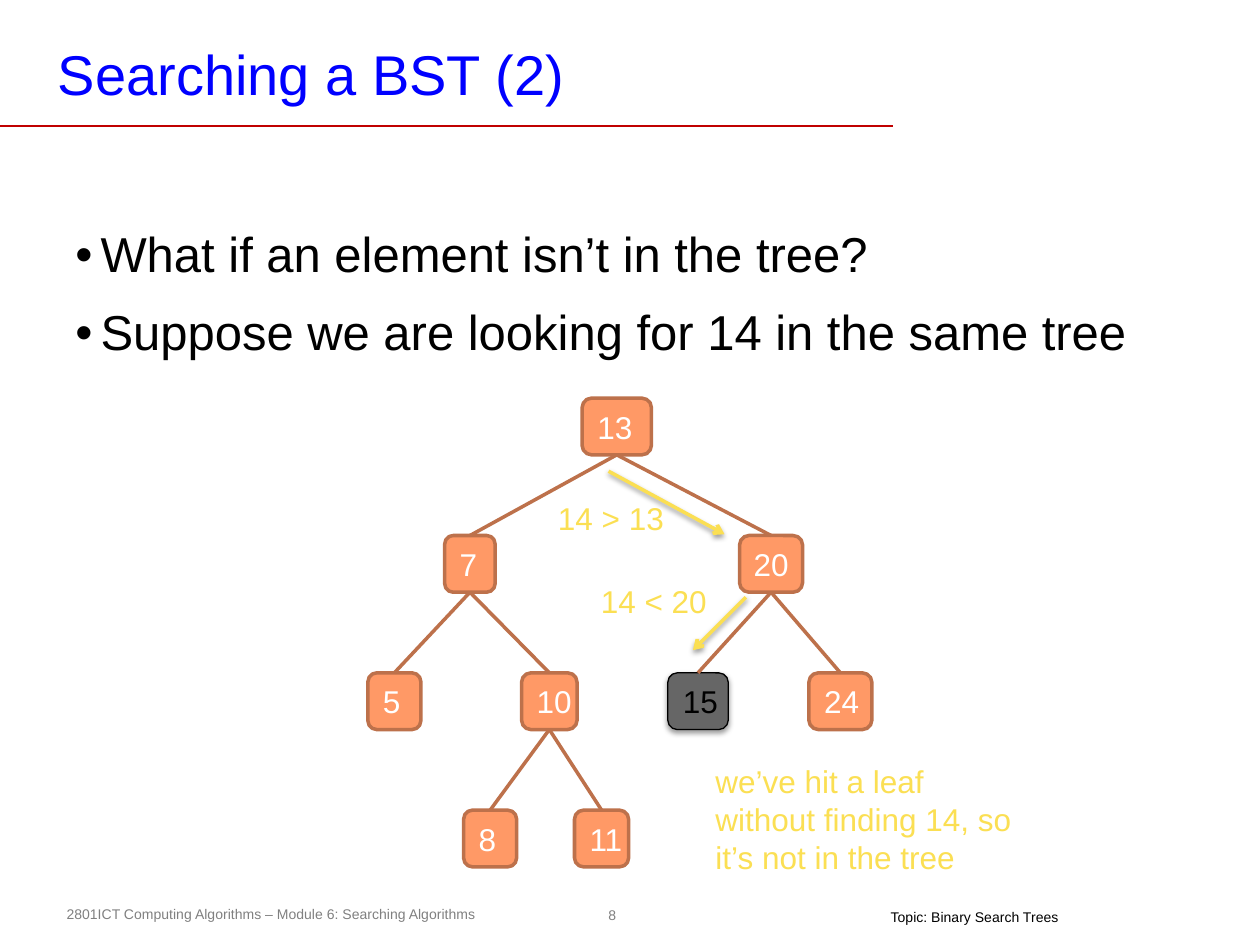
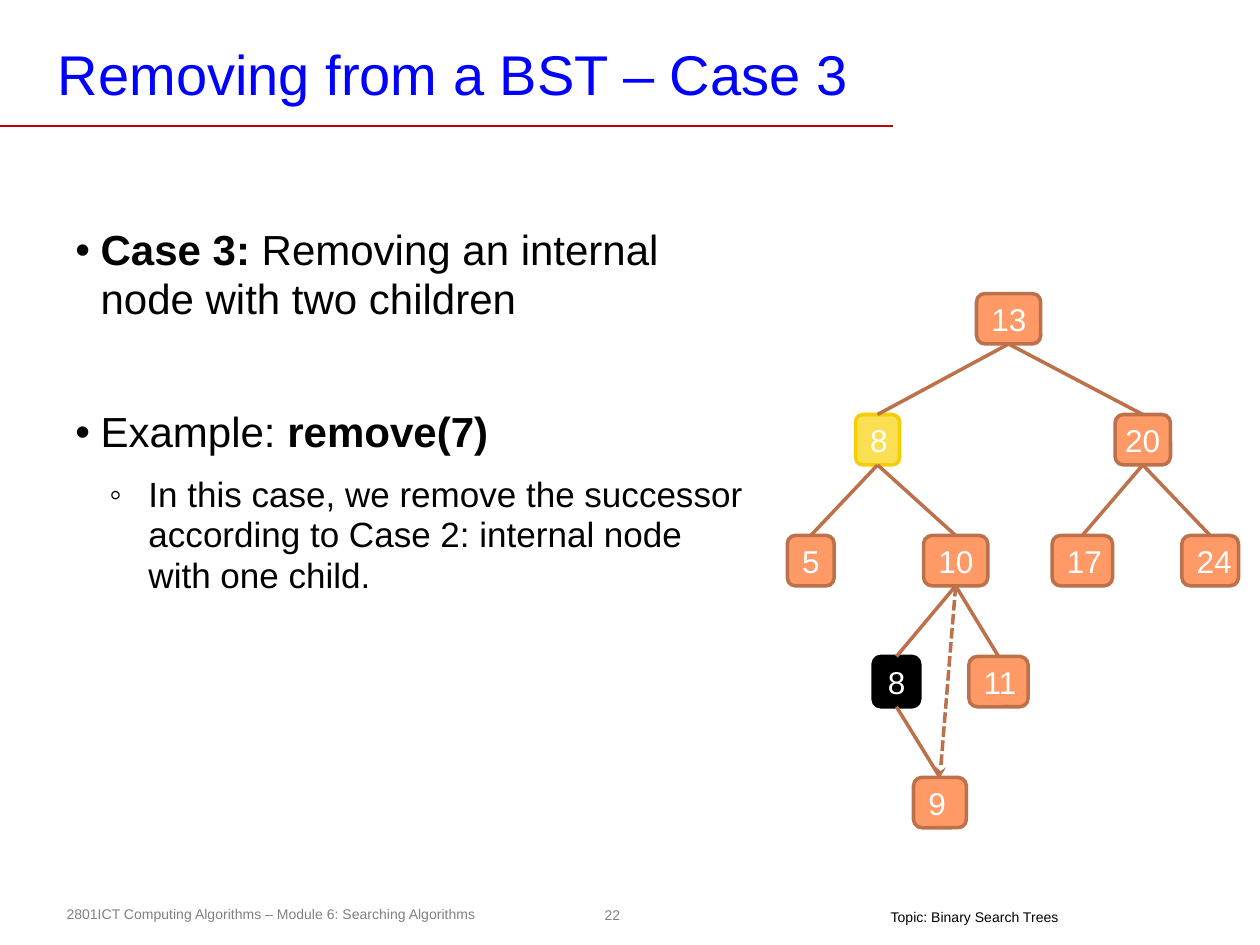
from lxml.etree import SubElement
from pptx import Presentation
from pptx.dml.color import RGBColor
from pptx.enum.dml import MSO_LINE
from pptx.enum.shapes import MSO_CONNECTOR, MSO_SHAPE
from pptx.enum.text import MSO_ANCHOR, MSO_AUTO_SIZE, PP_ALIGN
from pptx.oxml.ns import qn
from pptx.util import Inches, Pt

FONT = "Arial"
BLUE, RED, GREY = "0000FF", "C00000", "808080"
BLACK, WHITE, DARK = "000000", "FFFFFF", "666666"
ORANGE, BROWN = "FF9966", "BD714B"
YELLOW, GOLD = "FBDF53", "F5CD06"
PAD = (0.1, 0.05, 0.1, 0.05)
NODE = (ORANGE, BROWN, 2, WHITE)
FOUND = (DARK, BLACK, 0.75, BLACK)
MOVED = (YELLOW, GOLD, 2, WHITE)
GONE = (BLACK, BLACK, 2, WHITE)


def color(code):
    return RGBColor.from_string(code)


def style(para, size, code, align=PP_ALIGN.LEFT):
    para.alignment = align
    para.font.name = FONT
    para.font.size = Pt(size)
    para.font.color.rgb = color(code)


def setup(frame, pad=PAD, wrap=True, anchor=MSO_ANCHOR.TOP):
    frame.auto_size = MSO_AUTO_SIZE.NONE
    frame.word_wrap = wrap
    frame.vertical_anchor = anchor
    frame.margin_left, frame.margin_top, frame.margin_right, frame.margin_bottom = map(Inches, pad)


def label(slide, box, text, size, code, align=PP_ALIGN.LEFT, **opts):
    frame = slide.shapes.add_textbox(*map(Inches, box)).text_frame
    setup(frame, **opts)
    frame.text = text
    style(frame.paragraphs[0], size, code, align)


def shade(shape):
    props = shape._element.spPr
    effect = props.find(qn("a:effectLst"))
    if effect is None:
        effect = SubElement(props, qn("a:effectLst"))
    glow = SubElement(effect, qn("a:outerShdw"), blurRad=str(Pt(3.1)), dist=str(Pt(1.6)),
                      dir="5400000", rotWithShape="0")
    tint = SubElement(glow, qn("a:srgbClr"), val=BLACK)
    SubElement(tint, qn("a:alpha"), val="38000")


def rule(slide, start, end, code, width, head=None, dash=None):
    line = slide.shapes.add_connector(MSO_CONNECTOR.STRAIGHT, *map(Inches, start + end))
    line.line.color.rgb = color(code)
    line.line.width = Pt(width)
    if dash:
        line.line.dash_style = dash
    if head:
        SubElement(line.line._get_or_add_ln(), qn("a:tailEnd"), type=head)
    SubElement(line._element.spPr, qn("a:effectLst"))
    return line


def join(slide, upper, lower, **opts):
    line = rule(slide, (0, 0), (1, 1), BROWN, 2, **opts)
    line.begin_connect(upper, 2)
    line.end_connect(lower, 0)


def node(slide, box, text, look):
    fill, edge, width, ink = look
    shape = slide.shapes.add_shape(MSO_SHAPE.ROUNDED_RECTANGLE, *map(Inches, box))
    shape.shadow.inherit = False
    shape.fill.solid()
    shape.fill.fore_color.rgb = color(fill)
    shape.line.color.rgb = color(edge)
    shape.line.width = Pt(width)
    frame = shape.text_frame
    setup(frame, wrap=False, anchor=MSO_ANCHOR.MIDDLE)
    frame.text = text
    style(frame.paragraphs[0], 18, ink, PP_ALIGN.CENTER if text == "20" else PP_ALIGN.LEFT)
    if look == FOUND:
        shade(shape)
    return shape


def tree(slide, left, top, step, height, nodes):
    made = []
    for text, parent, level, shift, width, look in nodes:
        box = (left + shift, top + level * step, width, height)
        made.append(node(slide, box, text, look))
        if parent is not None:
            join(slide, made[parent], made[-1])
    return made


def body(slide, box, items):
    frame = slide.shapes.add_textbox(*map(Inches, box)).text_frame
    setup(frame)
    for spot, (parts, size, mark, margin, hang, gap) in enumerate(items):
        para = frame.add_paragraph() if spot else frame.paragraphs[0]
        props = para._p.get_or_add_pPr()
        props.set("marL", str(Inches(margin)))
        props.set("indent", str(-Inches(hang)))
        SubElement(props, qn("a:buFont"), typeface=FONT)
        SubElement(props, qn("a:buChar"), char=mark)
        para.line_spacing = 0.97
        para.space_before = Pt(gap)
        for text, bold in parts:
            run = para.add_run()
            run.text = text
            if bold:
                run.font.bold = True
        style(para, size, BLACK)


def bullet(parts, size, gap=0):
    return parts, size, "•", 0.2, 0.2, gap


def page(deck, title, number):
    slide = deck.slides.add_slide(deck.slide_layouts[5])
    label(slide, (4.74, 7.13, 0.24, 0.26), number, 8, GREY, PP_ALIGN.CENTER,
          pad=(0.04,) * 4, wrap=False, anchor=MSO_ANCHOR.MIDDLE)
    label(slide, (0.43, 7.14, 3.64, 0.24),
          "2801ICT Computing Algorithms – Module 6: Searching Algorithms", 8, GREY)
    label(slide, (6.97, 7.21, 1.55, 0.17), "Topic: Binary Search Trees", 8, BLACK,
          pad=(0.1, 0, 0.1, 0.04), wrap=False)
    rule(slide, (0, 1), (7.09, 1), RED, 1)
    head = slide.shapes.title
    head.left, head.top, head.width, head.height = map(Inches, (0.39, 0.28, 7.42, 0.6))
    setup(head.text_frame, pad=(0.07, 0.03, 0.07, 0.03), anchor=MSO_ANCHOR.MIDDLE)
    head.text_frame.text = title
    style(head.text_frame.paragraphs[0], 32, BLUE)
    return slide


def search(deck):
    slide = page(deck, "Searching a BST (2)", "8")
    body(slide, (0.5, 1.75, 9, 1.75), [
        bullet([("What if an element isn’t in the tree?", False)], 28),
        bullet([("Suppose we are looking for 14 in the same tree", False)], 28, 12.2),
    ])
    for start, end in (((4.83, 3.74), (5.75, 4.24)), ((5.92, 4.74), (5.5, 5.16))):
        arrow = rule(slide, start, end, YELLOW, 2, head="arrow")
        arrow._element.spPr.remove(arrow._element.spPr.find(qn("a:effectLst")))
        shade(arrow)
    for box, text in (
        ((4.33, 3.91, 1.17, 0.4), "14 > 13"),
        ((4.67, 4.57, 1.08, 0.42), "14 < 20"),
        ((5.58, 6, 2.67, 1.01), "we’ve hit a leaf without finding 14, so it’s not in the tree"),
    ):
        label(slide, box, text, 18, YELLOW)
    tree(slide, 2.92, 3.16, 1.09, 0.45, [
        ("13", None, 0, 1.7, 0.55, NODE),
        ("7", 0, 1, 0.61, 0.4, NODE),
        ("20", 0, 1, 2.95, 0.5, NODE),
        ("5", 1, 2, 0, 0.42, NODE),
        ("10", 1, 2, 1.22, 0.44, NODE),
        ("15", 2, 2, 2.38, 0.48, FOUND),
        ("24", 2, 2, 3.5, 0.5, NODE),
        ("8", 4, 3, 0.76, 0.42, NODE),
        ("11", 4, 3, 1.64, 0.43, NODE),
    ])


def remove(deck):
    slide = page(deck, "Removing from a BST – Case 3", "22")
    body(slide, (0.5, 1.75, 5.58, 5.75), [
        bullet([("Case 3: ", True), ("Removing an internal node with two children", False)], 24),
        bullet([("Example: ", False), ("remove(7)", True)], 24, 48),
        ([("In this case, we remove the successor according to Case 2: "
           "internal node with one child.", False)], 20, "◦", 0.58, 0.31, 9.8),
    ])
    made = tree(slide, 6.25, 2.33, 0.96, 0.4, [
        ("13", None, 0, 1.5, 0.51, NODE),
        ("8", 0, 1, 0.54, 0.35, MOVED),
        ("20", 0, 1, 2.6, 0.44, NODE),
        ("5", 1, 2, 0, 0.37, NODE),
        ("10", 1, 2, 1.08, 0.51, NODE),
        ("17", 2, 2, 2.1, 0.48, NODE),
        ("24", 2, 2, 3.13, 0.45, NODE),
        ("8", 4, 3, 0.68, 0.37, GONE),
        ("11", 4, 3, 1.44, 0.47, NODE),
        ("9", 7, 4, 1, 0.42, NODE),
    ])
    join(slide, made[4], made[9], head="stealth", dash=MSO_LINE.SQUARE_DOT)


def main():
    deck = Presentation()
    deck.slide_width, deck.slide_height = Inches(10), Inches(7.5)
    search(deck)
    remove(deck)
    deck.save("out.pptx")


if __name__ == "__main__":
    main()
